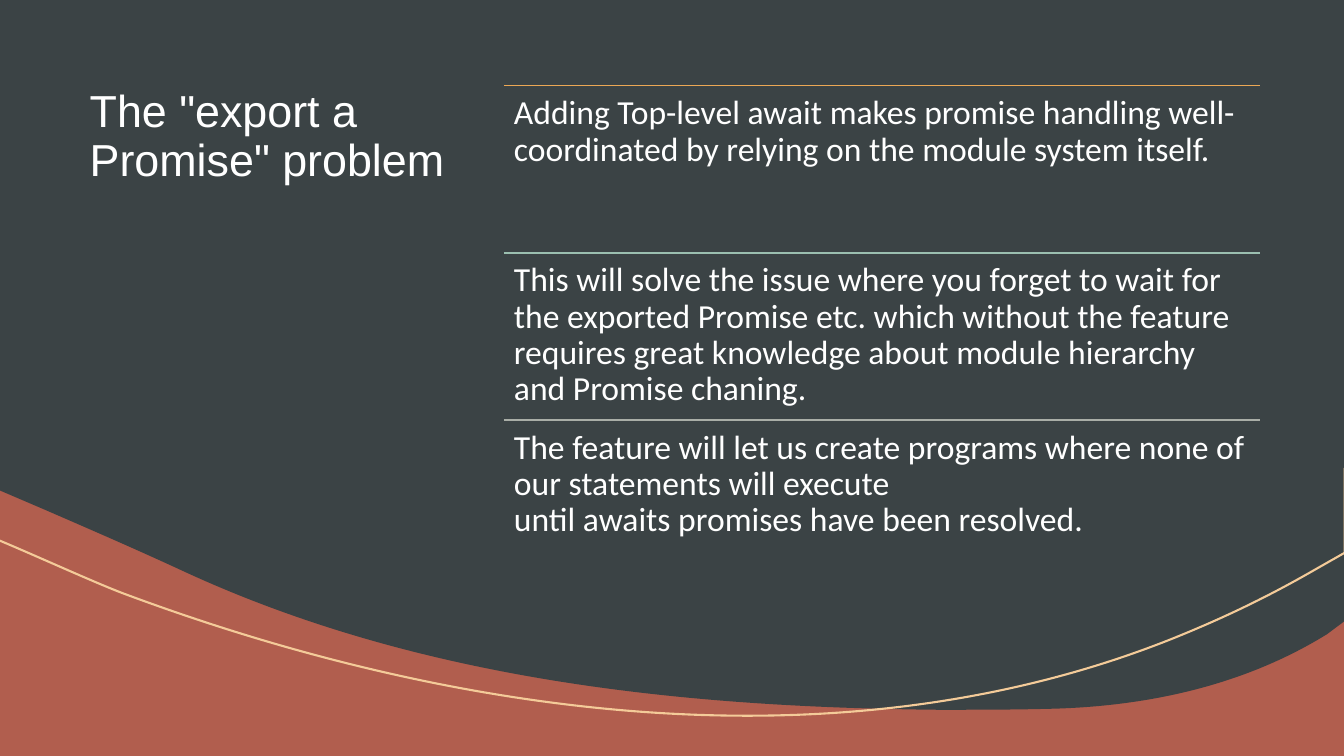
import dataclasses

import pptx
import pptx.dml.color
import pptx.enum.shapes
import pptx.enum.text
import pptx.oxml.ns
import pptx.util
from lxml import etree


@dataclasses.dataclass(frozen=True)
class Theme:
    clay: str = "B15E4E"
    slate: str = "3B4345"
    sand: str = "F4CB99"
    white: str = "FFFFFF"
    rules: tuple = ("ECA855", "9BBFB0", "A9AEA7")
    title_font: str = "Arial"
    body_font: str = "Calibri"
    title_size: int = 32
    body_size: int = 24
    rule_width: float = 1
    arc_width: float = 1.5


THEME = Theme()
COLUMNS, ROWS = 16, 9
WIDTH, HEIGHT = pptx.util.Inches(13.33), pptx.util.Inches(7.5)

TITLE = 'The "export a Promise" problem'
TIE = "~"  # stands for a no-break space in the points
POINTS = (
    "Adding Top-level await makes promise handling well-coordinated by relying on~the module system itself.~",
    "This will solve the issue where you forget to wait for the exported Promise etc.~which without the feature "
    "requires~great knowledge about~module hierarchy and Promise chaning.~",
    "The feature will let us~create~programs where none of our statements will execute "
    "until~awaits~promises~have been resolved.~",
)
POINT_LEFT, POINT_TOP, POINT_WIDTH, POINT_HEIGHT = 6, 1.02, 9, 1.99

# Outlines in columns and rows: a segment of one point is straight,
# a segment of three is a Bezier curve (two controls and an end).
HILL = (
    ((0, 0),),
    ((16, 0),),
    ((16, 7.4),),
    ((15.8, 7.55),),
    ((14.78, 8.18), (13.6, 8.42), (12.44, 8.44)),
    ((12.02, 8.45), (11.59, 8.45), (11.16, 8.45)),
    ((8.12, 8.42), (4.97, 8.1), (2.14, 6.78)),
    ((1.62, 6.54), (1.09, 6.31), (0.56, 6.08)),
    ((0, 5.84),),
)
ARC = (
    ((16.01, 5.57),),
    ((16.01, 6.58),),
    ((15.64, 6.79),),
    ((15.17, 7.06), (14.64, 7.33), (13.94, 7.61)),
    ((10.09, 9.14), (5.58, 8.59), (1.51, 7.08)),
    ((1.18, 6.96), (0.44, 6.62), (-0.04, 6.42)),
)


def across(columns):
    return round(WIDTH * columns / COLUMNS)


def down(rows):
    return round(HEIGHT * rows / ROWS)


def rgb(color):
    return pptx.dml.color.RGBColor.from_string(color)


def set_values(target, values):
    for name, value in values.items():
        setattr(target, name, value)


def paint(fill, color):
    fill.solid()
    fill.fore_color.rgb = rgb(color)


def draw_line(line, color, width):
    line.color.rgb = rgb(color)
    line.width = pptx.util.Pt(width)


def add_outline(page, segments, close):
    """Build a freeform, then join each run of three points into a curve."""
    places = [(across(column), down(row)) for segment in segments for column, row in segment]
    builder = page.shapes.build_freeform(*places[0])
    builder.add_line_segments(places[1:], close=close)
    outline = builder.convert_to_shape()
    outline.shadow.inherit = False
    straight = iter(list(outline._element.iter(pptx.oxml.ns.qn("a:lnTo"))))
    for segment in segments[1:]:
        steps = [next(straight) for _ in segment]
        if len(steps) == 3:
            curve = etree.Element(pptx.oxml.ns.qn("a:cubicBezTo"))
            steps[0].addprevious(curve)
            for step in steps:
                curve.append(step[0])
                step.getparent().remove(step)
    return outline


def add_hill(page):
    hill = add_outline(page, HILL, True)
    paint(hill.fill, THEME.slate)
    hill.line.fill.background()


def add_arc(page):
    arc = add_outline(page, ARC, False)
    arc.fill.background()
    draw_line(arc.line, THEME.sand, THEME.arc_width)


def add_rule(page, left, top, width, color):
    rule = page.shapes.add_connector(
        pptx.enum.shapes.MSO_CONNECTOR.STRAIGHT,
        across(left), down(top), across(left + width), down(top),
    )
    draw_line(rule.line, color, THEME.rule_width)
    etree.SubElement(rule._element.spPr, pptx.oxml.ns.qn("a:effectLst"))


def add_text(page, text, place, font, size, inset):
    left, top, width, height = place
    box = page.shapes.add_textbox(across(left), down(top), across(width), down(height))
    set_values(box.text_frame, {
        "word_wrap": True,
        "vertical_anchor": pptx.enum.text.MSO_ANCHOR.TOP,
        "margin_top": pptx.util.Inches(inset),
        "margin_bottom": pptx.util.Inches(inset),
    })
    para = box.text_frame.paragraphs[0]
    para.line_spacing = 0.9
    span = para.add_run()
    span.text = text
    set_values(span.font, {"name": font, "size": pptx.util.Pt(size)})
    span.font.color.rgb = rgb(THEME.white)


def add_points(page):
    for index, (text, color) in enumerate(zip(POINTS, THEME.rules)):
        top = POINT_TOP + index * POINT_HEIGHT
        add_rule(page, POINT_LEFT, top, POINT_WIDTH, color)
        place = (POINT_LEFT, top, POINT_WIDTH, POINT_HEIGHT)
        add_text(page, text.replace(TIE, chr(160)), place, THEME.body_font, THEME.body_size, 0.1)


def main():
    deck = pptx.Presentation()
    set_values(deck, {"slide_width": WIDTH, "slide_height": HEIGHT})
    page = deck.slides.add_slide(deck.slide_layouts[6])
    paint(page.background.fill, THEME.clay)
    add_hill(page)
    add_arc(page)
    add_text(page, TITLE, (0.95, 1, 4.73, 3), THEME.title_font, THEME.title_size, 0.05)
    add_points(page)
    deck.save("out.pptx")


if __name__ == "__main__":
    main()
